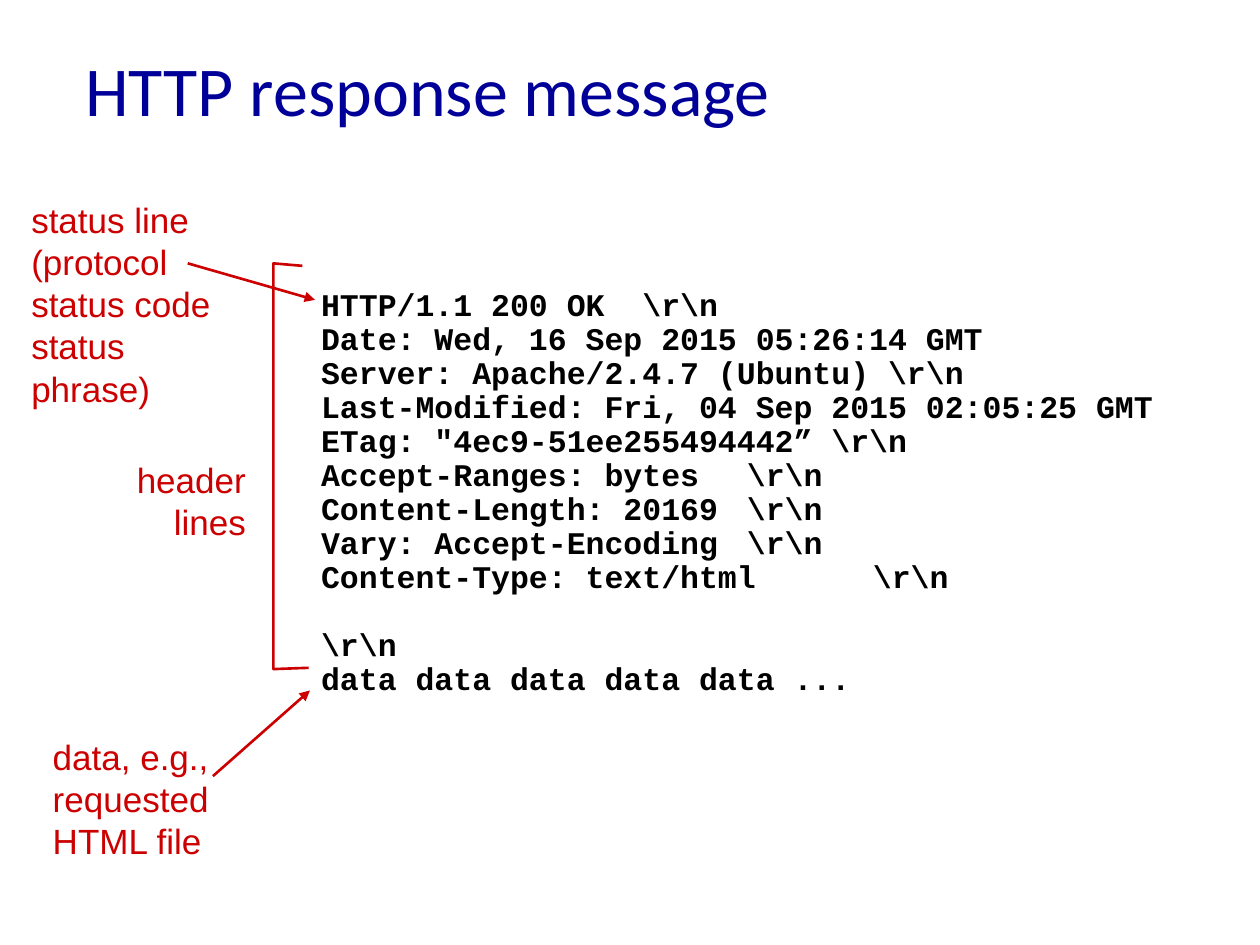
from lxml.etree import SubElement
from pptx import Presentation
from pptx.dml.color import RGBColor
from pptx.enum.shapes import MSO_CONNECTOR
from pptx.enum.text import MSO_ANCHOR, PP_ALIGN
from pptx.oxml.ns import qn
from pptx.util import Inches, Pt

NAVY = RGBColor(0x00, 0x00, 0x99)
RED = RGBColor(0xCC, 0x00, 0x00)
BLACK = RGBColor(0x00, 0x00, 0x00)

CODE_PITCH = 19.44
CODE_INDENT = Inches(0.38)

prs = Presentation()
prs.slide_width, prs.slide_height = Inches(10), Inches(7.5)
s = prs.slides.add_slide(prs.slide_layouts[6])


def add_text(text, left, top, width, height, size=20, font="Arial", color=RED,
             bold=False, align=PP_ALIGN.LEFT, anchor=MSO_ANCHOR.TOP, pitch=24):
    """Add a text box with one paragraph per line; pitch is the line spacing in points."""
    box = s.shapes.add_textbox(Inches(left), Inches(top), Inches(width), Inches(height))
    tf = box.text_frame
    tf.word_wrap = True
    tf.vertical_anchor = anchor
    for i, line in enumerate(text.splitlines()):
        p = tf.add_paragraph() if i else tf.paragraphs[0]
        p.alignment = align
        p.line_spacing = Pt(pitch)
        r = p.add_run()
        r.text = line
        r.font.name, r.font.size, r.font.bold = font, Pt(size), bold
        r.font.color.rgb = color
    return tf


add_text("HTTP response message", 0.58, 0.17, 8.5, 1.07, size=40, font="Calibri",
         color=NAVY, anchor=MSO_ANCHOR.MIDDLE, pitch=48)
add_text("status line\n(protocol\nstatus code\nstatus phrase)", 0.15, 1.53, 1.9, 1.43)

# Bracket around the header lines
builder = s.shapes.build_freeform(Inches(2.4), Inches(2.11))
builder.add_line_segments(
    [(Inches(x), Inches(y)) for x, y in [(2.17, 2.09), (2.17, 5.31), (2.45, 5.3)]],
    close=False)
bracket = builder.convert_to_shape()
bracket.shadow.inherit = False
bracket.fill.background()
bracket.line.color.rgb = RED
bracket.line.width = Pt(1.5)

# Arrows from the labels to the message
for x1, y1, x2, y2 in [(1.49, 2.09, 2.5, 2.38), (1.69, 6.16, 2.46, 5.48)]:
    arrow = s.shapes.add_connector(MSO_CONNECTOR.STRAIGHT, Inches(x1), Inches(y1),
                                   Inches(x2), Inches(y2))
    arrow.line.color.rgb = RED
    arrow.line.width = Pt(1.5)
    SubElement(arrow.line._get_or_add_ln(), qn("a:tailEnd"), type="triangle")
    SubElement(arrow._element.spPr, qn("a:effectLst"))

add_text("header\nlines", 0.9, 3.59, 1.15, 0.77, align=PP_ALIGN.RIGHT)
add_text("data, e.g.,\nrequested\nHTML file", 0.32, 5.79, 1.51, 1.1)

message = r"""HTTP/1.1 200 OK  \r\n
Date: Wed, 16 Sep 2015 05:26:14 GMT
Server: Apache/2.4.7 (Ubuntu) \r\n
Last-Modified: Fri, 04 Sep 2015 02:05:25 GMT
ETag: "4ec9-51ee255494442” \r\n
Accept-Ranges: bytes	\r\n
Content-Length: 20169	\r\n
Vary: Accept-Encoding	\r\n
Content-Type: text/html	\r\n
\r\n
data data data data data ..."""
tf = add_text(message, 2.45, 2.24, 6.9, 3.38, size=18, font="Courier New",
              color=BLACK, bold=True, pitch=CODE_PITCH)
for p in tf.paragraphs:
    pPr = p._p.get_or_add_pPr()
    pPr.set("marL", str(CODE_INDENT))
    pPr.set("indent", str(-CODE_INDENT))
    pPr.set("defTabSz", str(Inches(1)))
    if p.text == r"\r\n":
        p.space_before = Pt(CODE_PITCH)

prs.save("out.pptx")
